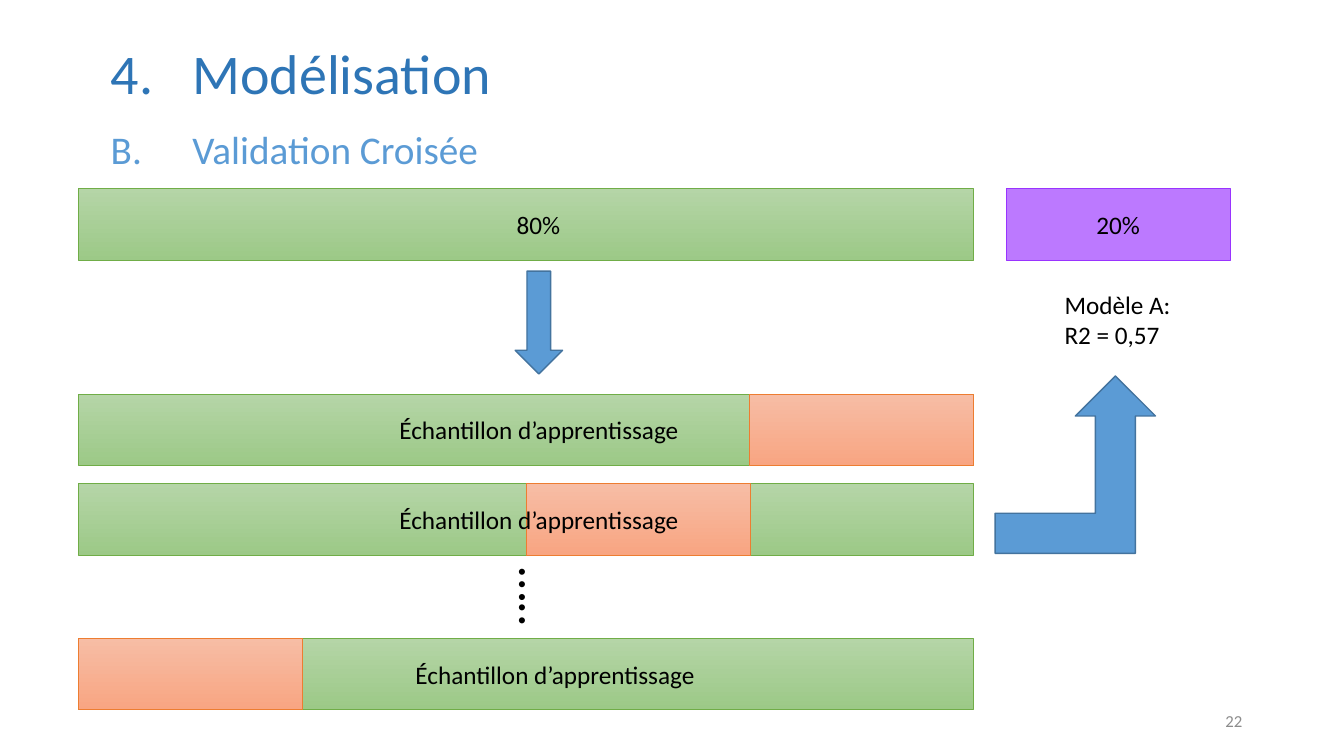
from lxml import etree
from pptx import Presentation
from pptx.dml.color import RGBColor
from pptx.enum.shapes import MSO_SHAPE
from pptx.enum.text import MSO_ANCHOR, MSO_AUTO_SIZE, PP_ALIGN
from pptx.oxml.ns import qn
from pptx.util import Inches, Pt

RECT, DOWN, BENT_UP = MSO_SHAPE.RECTANGLE, MSO_SHAPE.DOWN_ARROW, MSO_SHAPE.BENT_UP_ARROW
LEFT, CENTER, RIGHT = PP_ALIGN.LEFT, PP_ALIGN.CENTER, PP_ALIGN.RIGHT
TOP, MIDDLE = MSO_ANCHOR.TOP, MSO_ANCHOR.MIDDLE

COLORS = {
    "title": "2E75B6", "subtitle": "5B9BD5", "text": "000000", "number": "8C8C8C",
    "green_top": "B5D5A7", "green_bottom": "9CC987", "green_line": "70AD47",
    "orange_top": "F7BDA5", "orange_bottom": "F8A582", "orange_line": "ED7D31",
    "purple": "BC79FF", "purple_line": "9933FF",
    "arrow": "5B9BD5", "arrow_line": "43739E",
}
RGB = {name: RGBColor.from_string(value) for name, value in COLORS.items()}


def add_block(kind, box, fills, line, width):
    sp = slide.shapes.add_shape(kind, *map(Inches, box))
    sp.shadow.inherit = False
    if len(fills) == 1:
        sp.fill.solid()
        sp.fill.fore_color.rgb = RGB[fills[0]]
    else:
        sp.fill.gradient()
        sp.fill.gradient_angle = 270
        for stop, fill in zip(sp.fill.gradient_stops, fills):
            stop.color.rgb = RGB[fill]
    sp.line.color.rgb = RGB[line]
    sp.line.width = Pt(width)


def write_text(sp, box, text, size, color, align, anchor=TOP):
    sp.left, sp.top, sp.width, sp.height = map(Inches, box)
    tf = sp.text_frame
    tf.text = text
    frame_format = {"word_wrap": True, "auto_size": MSO_AUTO_SIZE.NONE, "vertical_anchor": anchor}
    for name, value in frame_format.items():
        setattr(tf, name, value)
    for p in tf.paragraphs:
        p.alignment = align
        font_format = {"name": "Calibri", "size": Pt(size)}
        for r in p.runs:
            for name, value in font_format.items():
                setattr(r.font, name, value)
            r.font.color.rgb = RGB[color]


prs = Presentation()
prs.slide_width, prs.slide_height = Inches(13.33), Inches(7.5)
slide = prs.slides.add_slide(prs.slide_layouts[5])

bar_left, bar_width, bar_height, fold_width = 0.78, 8.87, 0.71, 2.22
green = (("green_top", "green_bottom"), "green_line", 0.5)
orange = (("orange_top", "orange_bottom"), "orange_line", 0.5)

add_block(RECT, (bar_left, 1.87, bar_width, bar_height), *green)
for top, fold_left in [(3.91, 7.43), (4.8, 5.22), (6.33, bar_left)]:
    add_block(RECT, (bar_left, top, bar_width, bar_height), *green)
    add_block(RECT, (fold_left, top, fold_width, bar_height), *orange)
add_block(RECT, (9.98, 1.87, fold_width, bar_height), ("purple",), "purple_line", 0.5)

for kind, box in [(DOWN, (5.11, 2.69, 0.47, 1.02)), (BENT_UP, (9.87, 3.73, 1.59, 1.76))]:
    add_block(kind, box, ("arrow",), "arrow_line", 1)

labels = [
    ((4.97, 2.03, 0.74, 0.4), "80%", CENTER),
    ((10.72, 2.03, 0.74, 0.4), "20%", CENTER),
    ((10.46, 2.82, 1.27, 0.71), "Modèle A:\nR2 = 0,57", LEFT),
    ((3.74, 4.06, 3.21, 0.4), "Échantillon d’apprentissage", CENTER),
    ((3.74, 4.95, 3.21, 0.4), "Échantillon d’apprentissage", CENTER),
    ((3.9, 6.49, 3.21, 0.4), "Échantillon d’apprentissage", CENTER),
]
for box, text, align in labels:
    write_text(slide.shapes.add_textbox(0, 0, 0, 0), box, text, 18, "text", align)

dots = slide.shapes.add_textbox(0, 0, 0, 0)
write_text(dots, (4.93, 5.57, 0.83, 0.71), "…..", 36, "text", CENTER)
dots.rotation = 90

number = slide.shapes.add_textbox(0, 0, 0, 0)
write_text(number, (9.42, 6.95, 3, 0.4), "22", 12, "number", RIGHT, MIDDLE)

title = slide.shapes.title
subtitle = slide.shapes.add_textbox(0, 0, 0, 0)
write_text(title, (0, 0, 13.33, 1.62), "Modélisation", 40, "title", LEFT)
write_text(subtitle, (0, 1.19, 13.33, 0.48), "Validation Croisée", 28, "subtitle", LEFT)
title.text_frame.paragraphs[0].line_spacing = 1.5

for sp, scheme, start in [(title, "arabicPeriod", 4), (subtitle, "alphaUcPeriod", 2)]:
    pPr = sp.text_frame.paragraphs[0]._p.get_or_add_pPr()
    pPr.set("marL", str(Inches(1.81)))
    pPr.set("indent", str(Inches(-0.81)))
    etree.SubElement(pPr, qn("a:buFont"), typeface="+mj-lt")
    etree.SubElement(pPr, qn("a:buAutoNum"), type=scheme, startAt=str(start))

prs.save("out.pptx")
